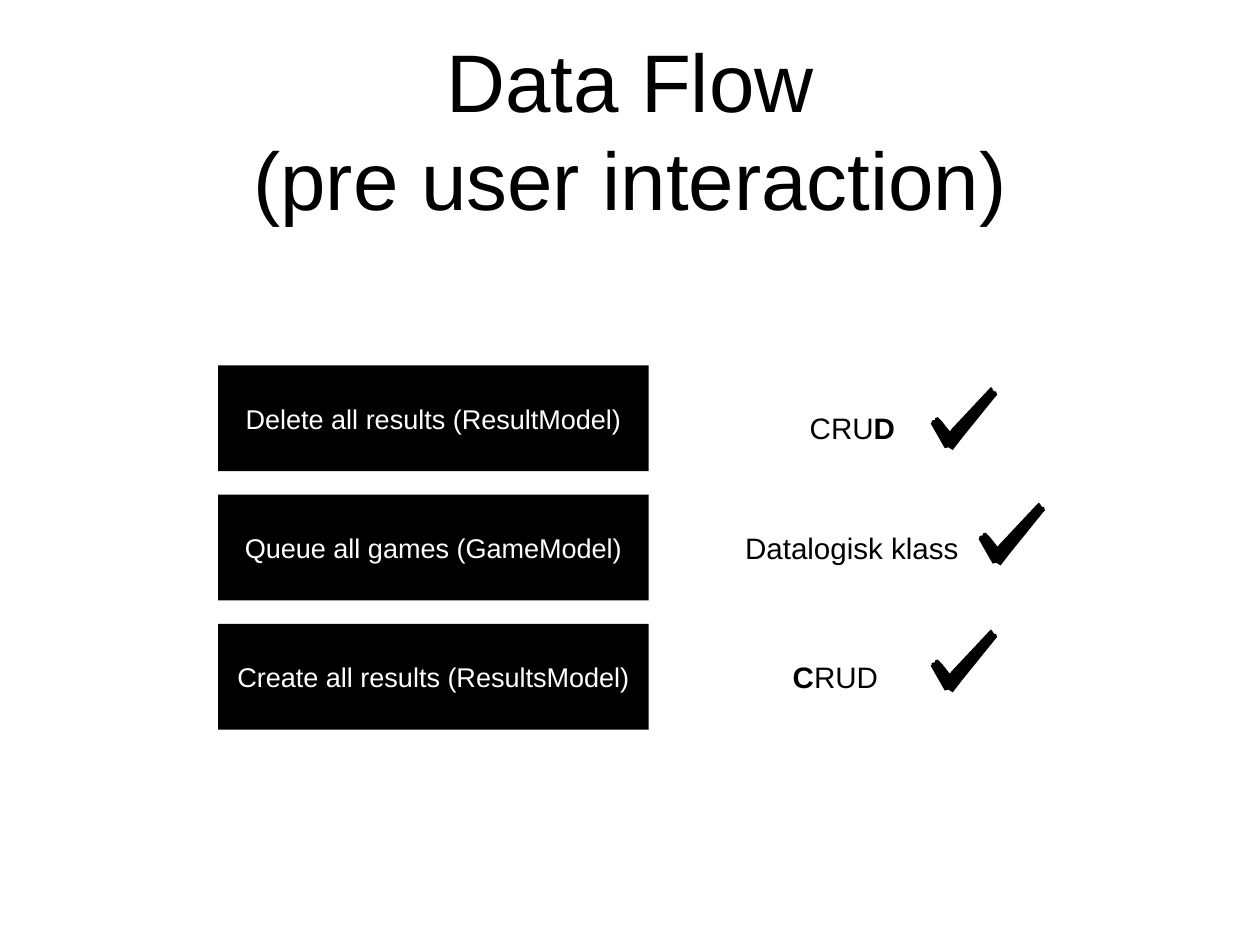
from dataclasses import dataclass

from pptx import Presentation
from pptx.dml.color import RGBColor as Rgb
from pptx.enum.shapes import MSO_SHAPE as Preset
from pptx.enum.text import MSO_ANCHOR as Anchor, MSO_AUTO_SIZE as AutoSize, PP_ALIGN as Align
from pptx.util import Pt


@dataclass(frozen=True)
class Theme:
    font: str = "Arial"
    ink: Rgb = Rgb(0, 0, 0)
    paper: Rgb = Rgb(255, 255, 255)
    title: float = 66.4
    step: float = 22
    note: float = 24
    inset: float = 4


THEME = Theme()

TITLE = ["Data Flow", "(pre user interaction)"]
STEP_LEFT, STEP_TOP, STEP_WIDTH, STEP_HEIGHT, STEP_PITCH = 177.2, 297, 350, 86, 105

# Step text, note spans (text, bold), note frame, tick position
ROWS = [
    ("Delete all results (ResultModel)", [("CRU", False), ("D", True)],
     (653.8, 329, 77.8, 36.7), (756.3, 314.6)),
    ("Queue all games (GameModel)", [("Datalogisk klass", False)],
     (600.4, 427, 183.6, 36), (795.2, 408.4)),
    ("Create all results (ResultsModel)", [("C", True), ("RUD", False)],
     (640, 531.6, 77.8, 36.7), (756.3, 511.5)),
]

# Tick outline in 1/100 inch
TICK_POINTS = [
    (68, 0), (23, 48), (22, 50), (20, 48), (13, 39), (9, 35), (8, 34), (5, 35),
    (5, 37), (1, 38), (1, 40), (0, 41), (12, 62), (16, 69), (20, 68), (25, 71),
    (35, 58), (73, 11), (75, 9), (74, 5), (72, 5), (70, 3), (70, 2),
]


def assign(target, values):
    for name, value in values.items():
        setattr(target, name, value)


def write(shape, paragraphs, size, color, **frame_format):
    """Fill a shape with centred paragraphs of (text, bold) spans."""
    frame = shape.text_frame
    margins = {f"margin_{side}": Pt(THEME.inset) for side in ("left", "top", "right", "bottom")}
    assign(frame, {"word_wrap": True, "vertical_anchor": Anchor.MIDDLE, **margins, **frame_format})
    for index, spans in enumerate(paragraphs):
        para = frame.add_paragraph() if index else frame.paragraphs[0]
        para.alignment = Align.CENTER
        for text, bold in spans:
            span = para.add_run()
            span.text = text
            assign(span.font, {"name": THEME.font, "size": Pt(size), "bold": bold})
            span.font.color.rgb = color


def paint(shape):
    shape.shadow.inherit = False
    shape.fill.solid()
    shape.fill.fore_color.rgb = THEME.ink
    shape.line.fill.background()


def add_title(page):
    box = page.shapes.add_textbox(Pt(75), Pt(20), Pt(874), Pt(170))
    write(box, [[(line, False)] for line in TITLE], THEME.title, THEME.ink)


def add_step(page, index, text):
    frame = (STEP_LEFT, STEP_TOP + index * STEP_PITCH, STEP_WIDTH, STEP_HEIGHT)
    box = page.shapes.add_shape(Preset.RECTANGLE, *map(Pt, frame))
    paint(box)
    write(box, [[(text, False)]], THEME.step, THEME.paper)


def add_note(page, spans, frame):
    box = page.shapes.add_textbox(*map(Pt, frame))
    write(box, [spans], THEME.note, THEME.ink,
          word_wrap=False, auto_size=AutoSize.SHAPE_TO_FIT_TEXT)


def add_tick(page, left, top):
    start, *rest = TICK_POINTS
    outline = page.shapes.build_freeform(*start, scale=Pt(0.72))
    outline.add_line_segments(rest, close=True)
    paint(outline.convert_to_shape(Pt(left), Pt(top)))


def main():
    deck = Presentation()
    assign(deck, {"slide_width": Pt(1024), "slide_height": Pt(768)})
    page = deck.slides.add_slide(deck.slide_layouts[6])

    # Heading
    add_title(page)

    # Steps with their notes and ticks
    for index, (step, note, note_frame, tick) in enumerate(ROWS):
        add_step(page, index, step)
        add_note(page, note, note_frame)
        add_tick(page, *tick)

    deck.save("out.pptx")


if __name__ == "__main__":
    main()
